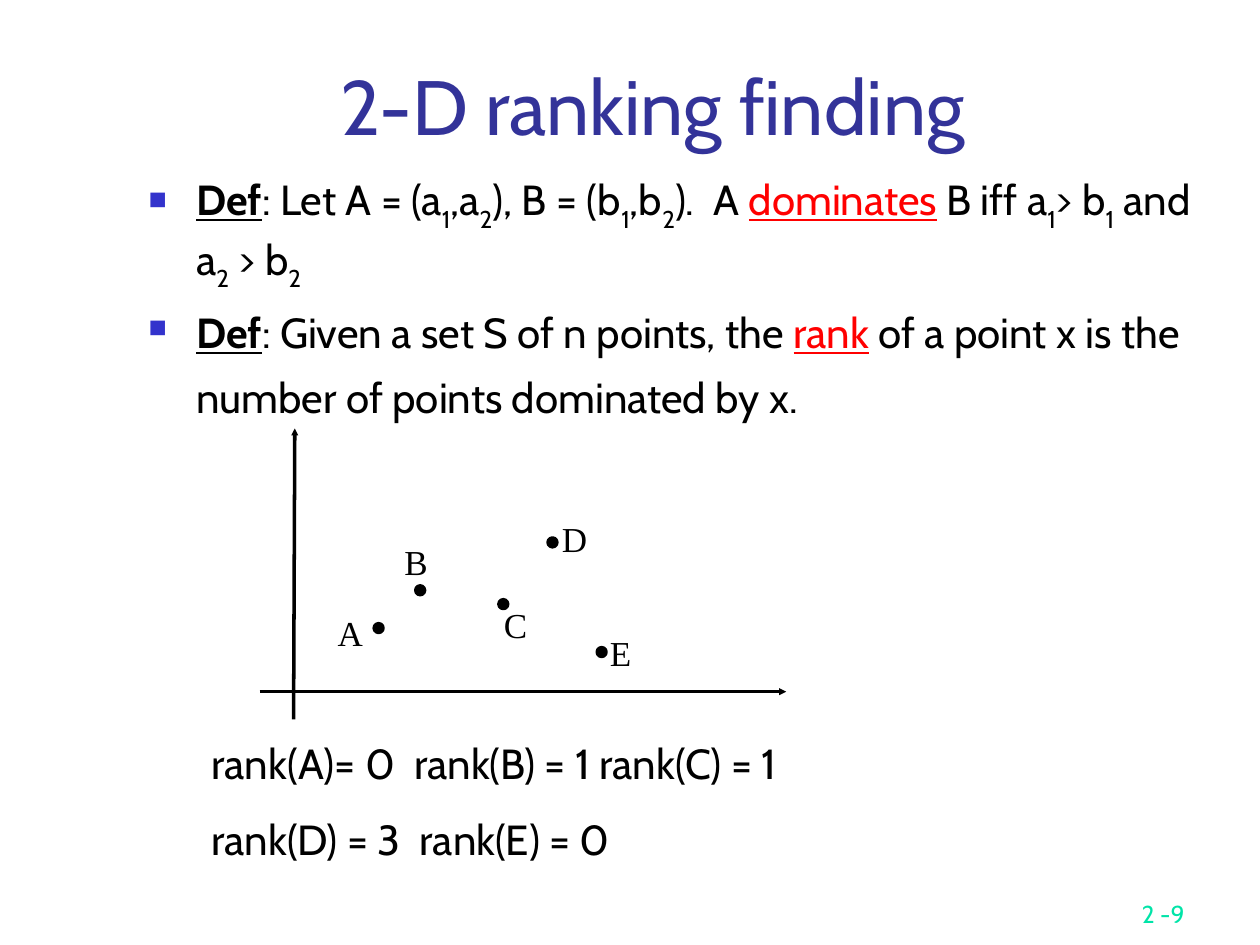
import dataclasses

import lxml.etree
import pptx
import pptx.dml.color
import pptx.enum.shapes
import pptx.enum.text
import pptx.oxml.ns
import pptx.util

Inches = pptx.util.Inches
Pt = pptx.util.Pt
Align = pptx.enum.text.PP_ALIGN
Anchor = pptx.enum.text.MSO_ANCHOR
Shape = pptx.enum.shapes.MSO_SHAPE


@dataclasses.dataclass(frozen=True)
class Theme:
    sans: str = "Cabin"
    serif: str = "Times New Roman"
    title_color: str = "333399"
    text_color: str = "000000"
    accent: str = "FF0000"
    bullet: str = "3333CC"
    number_color: str = "00E4A8"
    paper: str = "FFFFFF"
    title_size: int = 44
    body_size: int = 24
    spacer_size: int = 32
    label_size: int = 20
    number_size: int = 14
    line_width: int = 2


def rgb(color):
    return pptx.dml.color.RGBColor.from_string(color)


def add_xml(parent, tag, **attributes):
    return lxml.etree.SubElement(parent, pptx.oxml.ns.qn(tag), attributes)


class SlideBuilder:
    def __init__(self, slide, theme):
        self.slide = slide
        self.theme = theme

    def style_font(self, font, size, color, name=None):
        font.name = name or self.theme.sans
        font.size = Pt(size)
        font.color.rgb = rgb(color)

    def style_paragraphs(self, frame, size, color, align=Align.LEFT, before=0, name=None):
        for para in frame.paragraphs:
            para.alignment = align
            para.space_before = Pt(before)
            for span in para.runs:
                self.style_font(span.font, size, color, name)

    def title(self, text, left, top, width, height):
        box = self.slide.shapes.title
        box.left, box.top = Inches(left), Inches(top)
        box.width, box.height = Inches(width), Inches(height)
        frame = box.text_frame
        frame.text = text
        frame.vertical_anchor = Anchor.BOTTOM
        self.style_paragraphs(frame, self.theme.title_size, self.theme.title_color, Align.CENTER)

    def text_box(self, left, top, width, height, text=""):
        box = self.slide.shapes.add_textbox(
            Inches(left), Inches(top), Inches(width), Inches(height))
        frame = box.text_frame
        frame.word_wrap = True
        frame.text = text
        return frame

    def bullet(self, para, spans, before):
        """Fill a bulleted paragraph from (text, kind) pairs."""
        para.space_before = Pt(before)
        properties = para._p.get_or_add_pPr()
        indent = Inches(0.38)
        properties.set("marL", str(indent))
        properties.set("indent", str(-indent))
        add_xml(add_xml(properties, "a:buClr"), "a:srgbClr", val=self.theme.bullet)
        add_xml(properties, "a:buSzPct", val="60000")
        add_xml(properties, "a:buChar", char="■")
        for text, kind in spans:
            span = para.add_run()
            span.text = text
            size = self.theme.spacer_size if kind == "spacer" else self.theme.body_size
            color = self.theme.accent if kind == "term" else self.theme.text_color
            self.style_font(span.font, size, color)
            span.font.bold = kind == "head"
            span.font.underline = kind in ("head", "term")
            if kind == "sub":
                span._r.get_or_add_rPr().set("baseline", "-30000")

    def shape(self, kind, left, top, width, height, color):
        shape = self.slide.shapes.add_shape(
            kind, Inches(left), Inches(top), Inches(width), Inches(height))
        shape.shadow.inherit = False
        shape.fill.solid()
        shape.fill.fore_color.rgb = rgb(color)
        shape.line.color.rgb = rgb(color)
        shape.line.width = Pt(self.theme.line_width)
        return shape

    def label(self, text, left, top, width, height):
        frame = self.shape(Shape.RECTANGLE, left, top, width, height, self.theme.paper).text_frame
        frame.margin_left = frame.margin_right = Inches(0.01)
        frame.margin_top = frame.margin_bottom = Inches(0.01)
        frame.vertical_anchor = Anchor.TOP
        frame.text = text
        self.style_paragraphs(frame, self.theme.label_size, self.theme.text_color,
                              name=self.theme.serif)

    def dot(self, left, top):
        self.shape(Shape.OVAL, left, top, 0.07, 0.07, self.theme.text_color)

    def arrow(self, start, end):
        line = self.slide.shapes.add_connector(
            pptx.enum.shapes.MSO_CONNECTOR.STRAIGHT, *map(Inches, start + end))
        line.line.color.rgb = rgb(self.theme.text_color)
        line.line.width = Pt(self.theme.line_width)
        add_xml(line.line._get_or_add_ln(), "a:tailEnd", type="triangle", w="sm", len="sm")
        add_xml(line._element.spPr, "a:effectLst")


DOMINATES = [
    ("Def", "head"), (": Let A = (a", ""), ("1", "sub"), (",a", ""), ("2", "sub"),
    ("), B = (b", ""), ("1", "sub"), (",b", ""), ("2", "sub"), (").  A ", ""),
    ("dominates", "term"), (" B iff a", ""), ("1", "sub"), ("> b", ""), ("1", "sub"),
    (" and a", ""), ("2", "sub"), (" > b", ""), ("2", "sub"),
]
RANK = [
    ("Def", "head"), (": Given a set S of n points, the ", ""), ("rank", "term"),
    (" of a point x is the number of points dominated by x.", ""), (" ", "spacer"),
]
# Point name: label left, top, width, height, then dot left, top
POINTS = {
    "B": ((3.2, 4.28, 0.27, 0.38), (3.3, 4.65)),
    "A": ((2.67, 4.84, 0.29, 0.42), (2.97, 4.95)),
    "C": ((3.99, 4.78, 0.4, 0.35), (3.96, 4.76)),
    "D": ((4.45, 4.1, 0.5, 0.36), (4.35, 4.27)),
    "E": ((4.83, 5, 0.47, 0.39), (4.74, 5.14)),
}


def main():
    deck = pptx.Presentation()
    deck.slide_width, deck.slide_height = Inches(10), Inches(7.5)
    theme = Theme()
    page = SlideBuilder(deck.slides.add_slide(deck.slide_layouts[5]), theme)

    number = page.text_box(7.42, 6.92, 2.08, 0.5, "2 -9")
    number.vertical_anchor = Anchor.BOTTOM
    page.style_paragraphs(number, theme.number_size, theme.number_color, Align.RIGHT)

    page.title("2-D ranking finding", 0.92, 0.42, 8.52, 0.83)

    definitions = page.text_box(1.08, 1.33, 8.5, 4.5)
    page.bullet(definitions.paragraphs[0], DOMINATES, before=6)
    page.bullet(definitions.add_paragraph(), RANK, before=8)

    for name, (label_area, _) in POINTS.items():
        page.label(name, *label_area)
    page.arrow((2.06, 5.49), (6.24, 5.49))
    page.arrow((2.33, 5.71), (2.34, 3.4))
    for _, dot_corner in POINTS.values():
        page.dot(*dot_corner)

    ranks = page.text_box(1.58, 5.8, 6.25, 1.72,
                          "rank(A)= 0  rank(B) = 1 rank(C) = 1\nrank(D) = 3  rank(E) = 0")
    page.style_paragraphs(ranks, theme.body_size, theme.text_color, before=15)

    deck.save("out.pptx")


if __name__ == "__main__":
    main()
